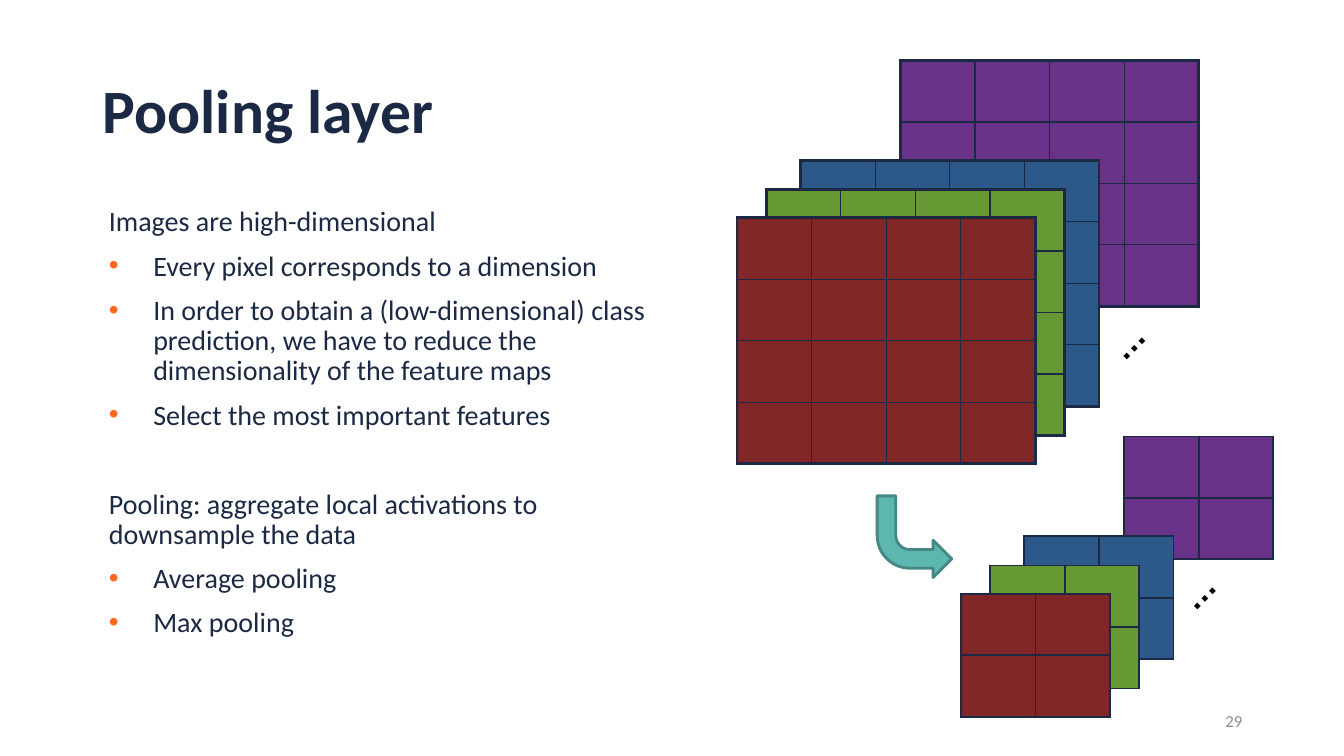
from lxml.etree import SubElement
from pptx import Presentation
from pptx.dml.color import RGBColor
from pptx.enum.shapes import MSO_SHAPE as Shape
from pptx.enum.text import MSO_ANCHOR as Anchor, MSO_AUTO_SIZE as Fit, PP_ALIGN as Align
from pptx.oxml.ns import qn
from pptx.util import Inches, Pt

NAVY = "1B2944"
TITLE = "Pooling layer"
SECTIONS = [
    ("Images are high-dimensional", [
        "Every pixel corresponds to a dimension",
        "In order to obtain a (low-dimensional) class prediction, "
        "we have to reduce the dimensionality of the feature maps",
        "Select the most important features"]),
    ("Pooling: aggregate local activations to downsample the data", [
        "Average pooling", "Max pooling"]),
]
# Feature maps from back to front: colour, left, top
MAPS = [("673287", 8.93, 0.6), ("2D588A", 7.94, 1.59),
        ("669933", 7.6, 1.88), ("822727", 7.31, 2.16)]
# Each stack: cells per side, shift, inner and outer line width, place of its dots
STACKS = [(4, (0, 0), 1, 2.25, (10.91, 3.13)),
          (2, (2.22, 3.73), 1.5, 1.5, (11.61, 5.61))]
CELL_W, CELL_H = 0.74, 0.61


def color(code):
    return RGBColor.from_string(code)


def place(shape, *box):
    shape.left, shape.top, shape.width, shape.height = map(Inches, box)


def write(para, text, size, code, font="Calibri", bold=False):
    run = para.add_run()
    run.text = text
    face = run.font
    face.name, face.size, face.bold = font, Pt(size), bold
    face.color.rgb = color(code)


def indent(para, left, hang, bullet):
    props = para._p.get_or_add_pPr()
    props.set("marL", str(Inches(left)))
    props.set("indent", str(Inches(hang)))
    if bullet:
        tint = SubElement(props, qn("a:buClr"))
        SubElement(tint, qn("a:srgbClr"), val="FF681E")
        SubElement(props, qn("a:buFont"), typeface="Arial")
        SubElement(props, qn("a:buChar"), char="•")
    else:
        SubElement(props, qn("a:buNone"))


def border(cell, widths):
    """Draw the left, right, top and bottom lines of a cell."""
    props = cell._tc.get_or_add_tcPr()
    for i, (side, width) in enumerate(zip("LRTB", widths)):
        line = SubElement(props, qn("a:ln" + side), w=str(Pt(width)))
        fill = SubElement(line, qn("a:solidFill"))
        SubElement(fill, qn("a:srgbClr"), val=NAVY)
        props.insert(i, line)


def add_map(shapes, code, left, top, count, thin, thick):
    frame = shapes.add_table(count, count, Inches(left), Inches(top),
                             Inches(count * CELL_W), Inches(count * CELL_H))
    table = frame.table
    table.first_row = table.horz_banding = False
    for i in range(count):
        table.columns[i].width = Inches(CELL_W)
        table.rows[i].height = Inches(CELL_H)
    last = count - 1
    for row in range(count):
        for col in range(count):
            cell = table.cell(row, col)
            cell.fill.solid()
            cell.fill.fore_color.rgb = color(code)
            edges = (col == 0, col == last, row == 0, row == last)
            border(cell, [thick if edge else thin for edge in edges])


def add_dots(shapes, left, top):
    box = shapes.add_textbox(Inches(left), Inches(top), Inches(0.54), Inches(0.5))
    box.rotation = 315
    box.text_frame.word_wrap = False
    box.text_frame.auto_size = Fit.SHAPE_TO_FIT_TEXT
    write(box.text_frame.paragraphs[0], "…", 24, "000000", "Arial", True)


def add_title(title):
    place(title, 0.92, 0.4, 11.5, 1.45)
    title.text_frame.vertical_anchor = Anchor.MIDDLE
    para = title.text_frame.paragraphs[0]
    para.alignment = Align.LEFT
    para.line_spacing = 0.9
    write(para, TITLE, 44, NAVY, bold=True)


def add_body(body):
    place(body, 0.92, 2.01, 5.75, 4.67)
    text = body.text_frame
    text.auto_size = Fit.NONE
    for part, (head, items) in enumerate(SECTIONS):
        for i, line in enumerate([head] + items):
            first = part == 0 and i == 0
            para = text.paragraphs[0] if first else text.add_paragraph()
            if i:
                indent(para, 0.5, -0.44, True)
            else:
                indent(para, 0.06, 0, False)
            para.line_spacing = 0.9
            para.space_before = Pt(0 if first else 10 if i else 42)
            write(para, line, 20, NAVY)


def add_number(shapes):
    box = shapes.add_textbox(Inches(9.42), Inches(6.95), Inches(3), Inches(0.4))
    box.text_frame.word_wrap = True
    box.text_frame.vertical_anchor = Anchor.MIDDLE
    para = box.text_frame.paragraphs[0]
    para.alignment = Align.RIGHT
    write(para, "29", 12, "898B91")


def add_arrow(shapes):
    arrow = shapes.add_shape(Shape.BENT_ARROW, Inches(8.7), Inches(4.92),
                             Inches(0.74), Inches(0.81))
    arrow._element.spPr.find(qn("a:xfrm")).set("flipV", "1")
    arrow.shadow.inherit = False
    arrow.fill.solid()
    arrow.fill.fore_color.rgb = color("5DB7B1")
    arrow.line.color.rgb = color("458783")
    arrow.line.width = Pt(2)


def main():
    deck = Presentation()
    deck.slide_width, deck.slide_height = Inches(13.33), Inches(7.5)
    slide = deck.slides.add_slide(deck.slide_layouts[1])
    shapes = slide.shapes
    add_title(shapes.title)
    add_body(slide.placeholders[1])
    add_number(shapes)
    for count, (dx, dy), thin, thick, dots in STACKS:
        for code, left, top in MAPS:
            add_map(shapes, code, left + dx, top + dy, count, thin, thick)
        add_dots(shapes, *dots)
    add_arrow(shapes)
    deck.save("out.pptx")


if __name__ == "__main__":
    main()
